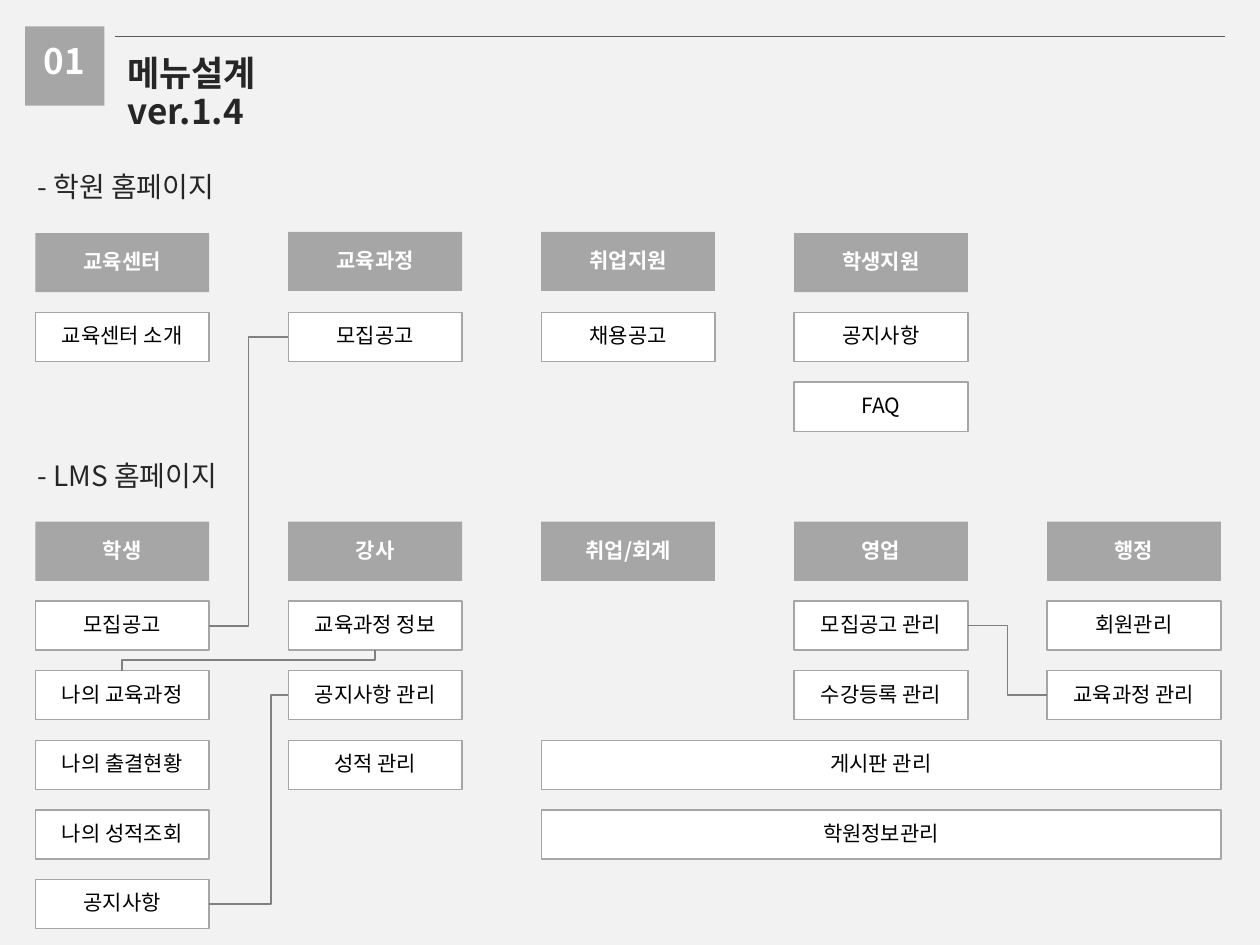
"""Build the menu design slide for the academy home page and its LMS."""
from lxml.etree import SubElement
from pptx import Presentation
from pptx.dml.color import RGBColor
from pptx.enum.shapes import MSO_CONNECTOR as CONN, MSO_SHAPE as SHAPE
from pptx.enum.text import MSO_ANCHOR as ANCHOR, PP_ALIGN as ALIGN
from pptx.oxml.ns import qn
from pptx.util import Inches, Pt

FONT = "Noto Sans CJK KR"
GREY, WHITE, BLACK, DARK = "A6A6A6", "FFFFFF", "000000", "262626"
TOP, LEFT, BOTTOM, RIGHT = range(4)
COL_STEP, ROW_STEP = 8.03 / 4, 2.21 / 4
BOX_W, HEAD_H, ITEM_H = 1.38, 0.47, 0.39


def rgb(value):
    return RGBColor.from_string(value)


def col_x(col):
    return 0.28 + col * COL_STEP


class Deck:
    def __init__(self, prs):
        self.s = prs.slides.add_slide(prs.slide_layouts[5])
        self.s.background.fill.solid()
        self.s.background.fill.fore_color.rgb = rgb("F2F2F2")

    def fill_text(self, sp, lines, size, color, bold=False, align=ALIGN.LEFT,
                  anchor=ANCHOR.TOP, wrap=True):
        tf = sp.text_frame
        tf.word_wrap, tf.vertical_anchor = wrap, anchor
        p = tf.paragraphs[0]
        p.alignment, p.line_spacing = align, 0.9
        for i, line in enumerate(lines):
            if i:
                p.add_line_break()
            r = p.add_run()
            r.text = line
            r.font.size, r.font.bold = Pt(size), bold
            r.font.color.rgb = rgb(color)
            r.font.name = FONT
            SubElement(r.font._element, qn("a:ea"), typeface=FONT)

    def title(self, lines, x, y, w, h):
        sp = self.s.shapes.title
        sp.left, sp.top, sp.width, sp.height = map(Inches, (x, y, w, h))
        self.fill_text(sp, lines, 20, DARK, bold=True)

    def text(self, text, x, y, w, h, size, color, **style):
        sp = self.s.shapes.add_textbox(*map(Inches, (x, y, w, h)))
        self.fill_text(sp, [text], size, color, **style)

    def rect(self, x, y, w, h, fill, line=None):
        sp = self.s.shapes.add_shape(SHAPE.RECTANGLE, *map(Inches, (x, y, w, h)))
        sp.shadow.inherit = False
        sp.fill.solid()
        sp.fill.fore_color.rgb = rgb(fill)
        if line:
            sp.line.color.rgb = rgb(line)
            sp.line.width = Pt(0.75)
        else:
            sp.line.fill.background()
        return sp

    def head(self, text, col, y):
        sp = self.rect(col_x(col), y, BOX_W, HEAD_H, GREY)
        self.fill_text(sp, [text], 12, WHITE, True, ALIGN.CENTER, ANCHOR.MIDDLE)

    def item(self, text, col, y, span=1):
        w = BOX_W + (span - 1) * COL_STEP
        sp = self.rect(col_x(col), y, w, ITEM_H, WHITE, GREY)
        self.fill_text(sp, [text], 12, BLACK, False, ALIGN.CENTER, ANCHOR.MIDDLE)
        return sp

    def line(self, kind, color, width, x1=0, y1=0, x2=0, y2=0):
        c = self.s.shapes.add_connector(kind, *map(Inches, (x1, y1, x2, y2)))
        c.line.color.rgb = rgb(color)
        c.line.width = Pt(width)
        SubElement(c._element.spPr, qn("a:effectLst"))
        return c

    def link(self, a, side_a, b, side_b, adj=50000):
        c = self.line(CONN.ELBOW, "808080", 1)
        c.begin_connect(a, side_a)
        c.end_connect(b, side_b)
        sp_pr = c._element.spPr
        guides = sp_pr.find(qn("a:prstGeom")).get_or_add_avLst()
        SubElement(guides, qn("a:gd"), name="adj1", fmla=f"val {adj}")
        if side_a == BOTTOM:
            x, y, w, h = c.left, c.top, c.width, c.height
            c.left, c.top = x + (w - h) // 2, y + (h - w) // 2
            c.width, c.height = h, w
            xfrm = sp_pr.find(qn("a:xfrm"))
            xfrm.attrib.pop("flipH", None)
            xfrm.set("rot", "5400000")


def main():
    prs = Presentation()
    prs.slide_width, prs.slide_height = Inches(10), Inches(7.5)
    deck = Deck(prs)

    deck.title(["메뉴설계", "ver.1.4"], 0.91, 0.4, 2.28, 0.44)
    deck.rect(0.2, 0.21, 0.63, 0.63, GREY)
    deck.text("01", 0.25, 0.3, 0.53, 0.44, 20, WHITE, bold=True, wrap=False)
    deck.line(CONN.STRAIGHT, "595959", 0.75, 0.91, 0.29, 9.72, 0.29)

    sections = [
        ("- 학원 홈페이지", 1.33, (1.85, 1.84, 1.84, 1.85), 2.48, [
            ("교육센터", ["교육센터 소개"]),
            ("교육과정", ["모집공고"]),
            ("취업지원", ["채용공고"]),
            ("학생지원", ["공지사항", "FAQ"]),
        ]),
        ("- LMS 홈페이지", 3.62, (4.14,) * 5, 4.77, [
            ("학생", ["모집공고", "나의 교육과정", "나의 출결현황",
                    "나의 성적조회", "공지사항"]),
            ("강사", ["교육과정 정보", "공지사항 관리", "성적 관리"]),
            ("취업/회계", []),
            ("영업", ["모집공고 관리", "수강등록 관리"]),
            ("행정", ["회원관리", "교육과정 관리"]),
        ]),
    ]
    menus = []
    for name, name_y, head_ys, item_y, columns in sections:
        deck.text(name, 0.2, name_y, 1.8, 0.37, 16, DARK)
        menu = []
        for col, (head_y, (head, items)) in enumerate(zip(head_ys, columns)):
            deck.head(head, col, head_y)
            menu.append([deck.item(text, col, item_y + row * ROW_STEP)
                         for row, text in enumerate(items)])
        menus.append(menu)
    for row, text in enumerate(["게시판 관리", "학원정보관리"], 2):
        deck.item(text, 2, 4.77 + row * ROW_STEP, span=3)

    home, lms = menus
    deck.link(lms[1][0], BOTTOM, lms[0][1], TOP)
    deck.link(home[1][0], LEFT, lms[0][0], RIGHT)
    deck.link(lms[4][1], LEFT, lms[3][0], RIGHT)
    deck.link(lms[1][1], LEFT, lms[0][4], RIGHT, 21800)

    prs.save("out.pptx")


if __name__ == "__main__":
    main()
